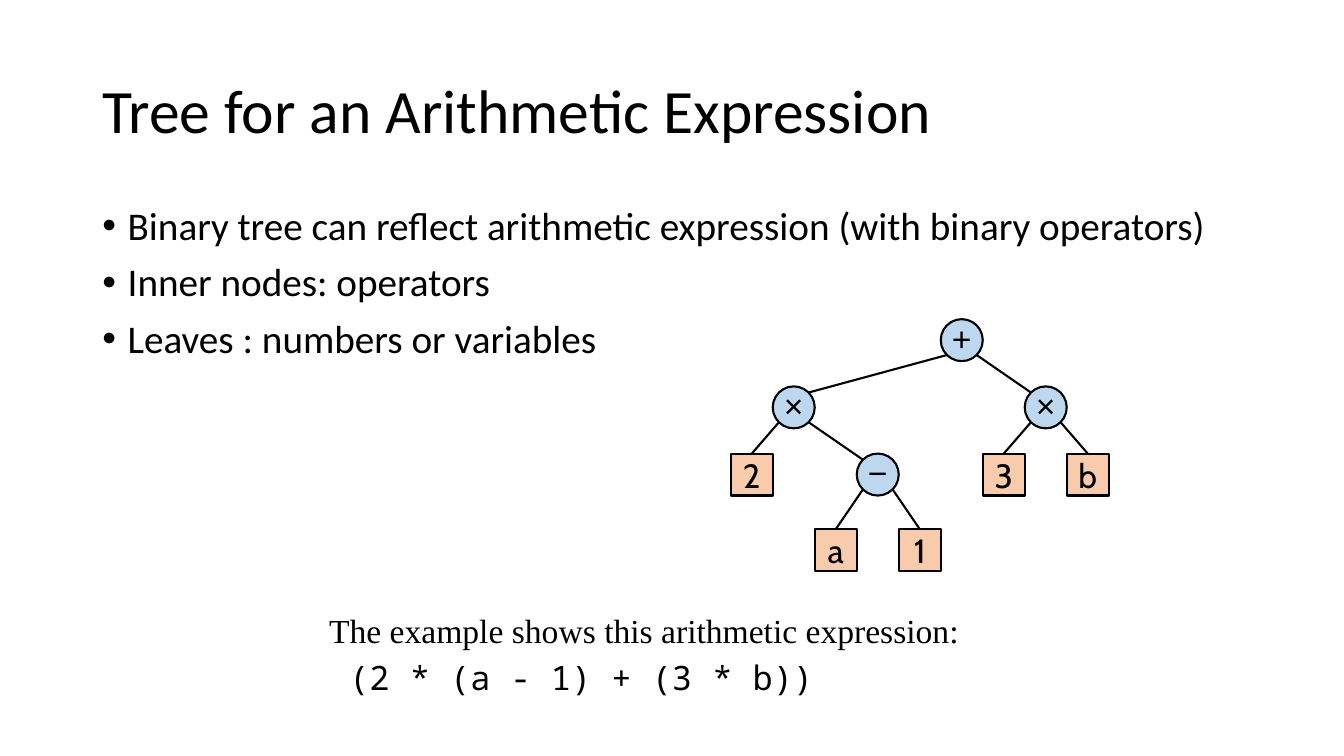
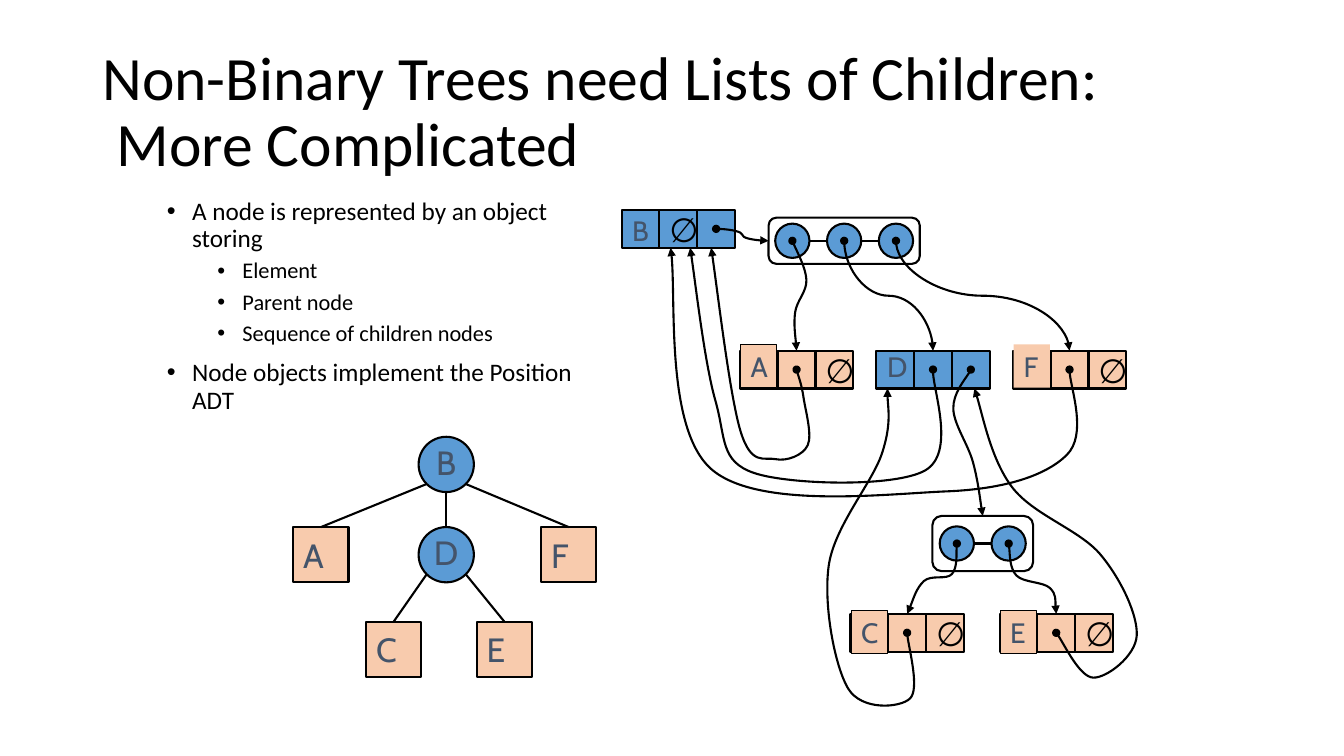
from dataclasses import dataclass
from itertools import count
from typing import Optional

from lxml import etree
from pptx import Presentation
from pptx.dml.color import RGBColor
from pptx.enum.shapes import MSO_CONNECTOR, MSO_SHAPE
from pptx.enum.text import MSO_ANCHOR, MSO_AUTO_SIZE, PP_ALIGN
from pptx.oxml.ns import qn
from pptx.util import Pt

RECT, OVAL, ROUNDED = MSO_SHAPE.RECTANGLE, MSO_SHAPE.OVAL, MSO_SHAPE.ROUNDED_RECTANGLE
STRAIGHT, CURVE = MSO_CONNECTOR.STRAIGHT, MSO_CONNECTOR.CURVE
LEFT, CENTER = PP_ALIGN.LEFT, PP_ALIGN.CENTER
TOP, MIDDLE = MSO_ANCHOR.TOP, MSO_ANCHOR.MIDDLE
NO_AUTOFIT = MSO_AUTO_SIZE.NONE

BLACK, SLATE = "000000", "44546A"
PALE_BLUE, BLUE, PEACH = "BDD7EE", "5B9BD5", "F8CBAD"
BODY_FONT, NODE_FONT = "Calibri", "Cabin"
DEFAULT_INSETS = (7.2, 3.6, 7.2, 3.6)
OVAL_INSETS = (0, 0, 0, 3.6)
DIAGONAL = 0.5 ** 0.5
CELL = 27
LINK_CELL, CHILDREN_CELL = 1, 2
DISC, DISC_STEP = 24.5, 37

ARITHMETIC_TREE = ("+", ("×", "2", ("−", "a", "1")), ("×", "3", "b"))
LETTER_TREE = ("B", "A", ("D", "C", "E"), "F")


@dataclass
class TreeStyle:
    size: float
    row_tops: tuple
    inner_fill: str
    color: str
    inner_font: str
    leaf_align: object


@dataclass
class Record:
    name: str
    left: float
    top: float
    fill: str = PEACH
    empty_cell: Optional[int] = CHILDREN_CELL
    label_shift: float = -2.5
    label_fill: Optional[str] = PEACH
    label_line: Optional[str] = BLACK

    def cell_center(self, column):
        return self.left + (column + 0.5) * CELL, self.top + CELL / 2

    def entry(self):
        return self.cell_center(LINK_CELL)[0], self.top

    def underside(self, offset):
        return self.left + offset, self.top + CELL


@dataclass
class ChildList:
    left: float
    top: float
    width: float
    height: float
    size: int

    def disc_center(self, index):
        margin = (self.width - (self.size - 1) * DISC_STEP) / 2
        return self.left + margin + index * DISC_STEP, self.top + self.height / 2

    def entry(self):
        return self.left + self.width / 2, self.top


RECORDS = {record.name: record for record in (
    Record("B", 444, 150, BLUE, LINK_CELL, -1, None, None),
    Record("A", 528.5, 250.5, label_shift=-4.5),
    Record("D", 626, 250.5, BLUE, None, -4.5, None, None),
    Record("F", 723.5, 250.5, label_shift=-4.5, label_line=None),
    Record("C", 607.5, 438.5),
    Record("E", 714, 438.5),
)}
CHILD_LISTS = {"B": ChildList(549, 155.5, 108, 33, 3),
               "D": ChildList(666, 368.5, 72, 39.5, 2)}

BENDS_TO_CHILD = {
    "B": {"A": [(576, 200), (568, 223)], "D": [], "F": []},
    "D": {"C": [(680, 410), (660, 415)], "E": [(726, 411), (750, 420)]},
}
BENDS_TO_LIST_OF_D = [(681, 292), (695, 330)]
ROUTES_TO_PARENT = [
    ("A", "B", 64, [(574, 284), (577, 318), (554, 328), (529, 308)]),
    ("D", "B", 49, [(661, 336), (539, 338), (511, 286)]),
    ("F", "B", 35, [(762, 325), (676, 351), (508, 335)]),
    ("C", "D", 8, [(650, 499), (606, 492), (592, 404), (630, 324)]),
    ("E", "D", 70, [(781, 484), (812, 454), (786, 396), (723, 348)]),
]


def rgb(value):
    return RGBColor.from_string(value)


def add_text(frame, text, size=24, font=NODE_FONT, color=BLACK, align=LEFT,
             before=0, spacing=1.0, bullet_indent=None):
    paragraph = frame.paragraphs[0]
    if paragraph.runs:
        paragraph = frame.add_paragraph()
    else:
        before = 0
    paragraph.text = text
    paragraph.alignment = align
    paragraph.line_spacing = spacing
    paragraph.space_before = Pt(before)
    if bullet_indent is not None:
        properties = paragraph._p.get_or_add_pPr()
        properties.set("marL", str(Pt(bullet_indent)))
        properties.set("indent", str(-Pt(18)))
        etree.SubElement(properties, qn("a:buFont")).set("typeface", "Arial")
        etree.SubElement(properties, qn("a:buChar")).set("char", "•")
    for run in paragraph.runs:
        run.font.size = Pt(size)
        run.font.name = font
        run.font.color.rgb = rgb(color)


def set_frame(frame, anchor=MIDDLE, insets=DEFAULT_INSETS, wrap=False):
    frame.auto_size = NO_AUTOFIT
    frame.word_wrap = wrap
    frame.vertical_anchor = anchor
    (frame.margin_left, frame.margin_top,
     frame.margin_right, frame.margin_bottom) = map(Pt, insets)


def place(placeholder, left, top, width, height, anchor):
    placeholder.left, placeholder.top = Pt(left), Pt(top)
    placeholder.width, placeholder.height = Pt(width), Pt(height)
    set_frame(placeholder.text_frame, anchor=anchor, wrap=True)


def add_titled_slide(deck, title, body_box, bullets):
    slide = deck.slides.add_slide(deck.slide_layouts[1])
    heading, body = slide.placeholders
    place(heading, 66, 29, 828, 104, MIDDLE)
    add_text(heading.text_frame, title, size=44, font=BODY_FONT, spacing=0.9)
    place(body, *body_box, TOP)
    for level, size, text in bullets:
        add_text(body.text_frame, text, size=size, font=BODY_FONT, spacing=0.9,
                 before=5 if level else 10, bullet_indent=18 + 36 * level)
        body.text_frame.paragraphs[-1].level = level
    return slide


def style_outline(outline, fill, line, weight=1.5):
    outline.shadow.inherit = False
    if fill:
        outline.fill.solid()
        outline.fill.fore_color.rgb = rgb(fill)
    else:
        outline.fill.background()
    if line:
        outline.line.color.rgb = rgb(line)
        outline.line.width = Pt(weight)
    else:
        outline.line.fill.background()


def add_box(slide, kind, left, top, width, height, fill=None, line=BLACK, weight=1.5):
    box = slide.shapes.add_shape(kind, Pt(left), Pt(top), Pt(width), Pt(height))
    style_outline(box, fill, line, weight)
    return box


def add_line(slide, start, end, kind=STRAIGHT):
    line = slide.shapes.add_connector(kind, *map(Pt, start + end))
    line.line.color.rgb = rgb(BLACK)
    line.line.width = Pt(1.5)
    etree.SubElement(line._element.spPr, qn("a:effectLst"))
    return line


def add_pointer_ends(pointer):
    outline = pointer._element.spPr.find(qn("a:ln"))
    etree.SubElement(outline, qn("a:headEnd")).set("type", "oval")
    etree.SubElement(outline, qn("a:tailEnd")).set("type", "triangle")


def add_falling_pointer(slide, start, end):
    center_x, center_y = (start[0] + end[0]) / 2, (start[1] + end[1]) / 2
    half_run, half_drop = (end[0] - start[0]) / 2, (end[1] - start[1]) / 2
    pointer = add_line(slide, (center_x + half_drop, center_y - half_run),
                       (center_x - half_drop, center_y + half_run), CURVE)
    pointer._element.spPr.find(qn("a:xfrm")).set("rot", "16200000")
    add_pointer_ends(pointer)


def smooth_controls(knots):
    padded = [knots[0], *knots, knots[-1]]
    for before, start, end, after in zip(padded, padded[1:], padded[2:], padded[3:]):
        yield tuple(s + (e - b) / 6 for b, s, e in zip(before, start, end))
        yield tuple(e - (a - s) / 6 for s, e, a in zip(start, end, after))
        yield end


def add_smooth_pointer(slide, start, bends, end):
    controls = smooth_controls([start, *bends, end])
    builder = slide.shapes.build_freeform(*map(Pt, start))
    builder.add_line_segments([(Pt(x), Pt(y)) for x, y in controls], close=False)
    pointer = builder.convert_to_shape()
    style_outline(pointer, None, BLACK)
    curve = next(pointer._element.iter(qn("a:path")))
    segments = curve.findall(qn("a:lnTo"))
    for first in range(0, len(segments), 3):
        bezier = etree.SubElement(curve, qn("a:cubicBezTo"))
        for segment in segments[first:first + 3]:
            bezier.append(segment[0])
            curve.remove(segment)
    add_pointer_ends(pointer)


def rim_point(node, side, direction):
    radius = node.width.pt / 2
    x, y = node.left.pt + radius, node.top.pt + radius
    if side == 0:
        return x, y + direction * radius
    return x + side * radius * DIAGONAL, y + direction * radius * DIAGONAL


def add_edge(slide, parent, child):
    offset = child.left - parent.left
    side = (offset > 0) - (offset < 0)
    edge = add_line(slide, rim_point(parent, side, 1), rim_point(child, -side, -1))
    if child.auto_shape_type == RECT:
        edge.end_connect(child, 0)


def add_node(slide, text, left, top, style, inner):
    node = add_box(slide, OVAL if inner else RECT, left, top, style.size, style.size,
                   style.inner_fill if inner else PEACH)
    set_frame(node.text_frame, insets=OVAL_INSETS if inner else DEFAULT_INSETS)
    add_text(node.text_frame, text, color=style.color,
             font=style.inner_font if inner else NODE_FONT,
             align=CENTER if inner else style.leaf_align)
    return node


def add_tree(slide, tree, lefts_in_order, style, depth=0):
    top = style.row_tops[depth]
    if isinstance(tree, str):
        return add_node(slide, tree, next(lefts_in_order), top, style, False)
    text, first, *others = tree
    children = [add_tree(slide, first, lefts_in_order, style, depth + 1)]
    parent = add_node(slide, text, next(lefts_in_order), top, style, True)
    children += [add_tree(slide, other, lefts_in_order, style, depth + 1) for other in others]
    for child in children:
        add_edge(slide, parent, child)
    return parent


def add_record(slide, record):
    for column in range(3):
        cell = add_box(slide, RECT, record.left + column * CELL, record.top,
                       CELL, CELL, record.fill)
        if column == record.empty_cell:
            set_frame(cell.text_frame)
            add_text(cell.text_frame, "∅")
    label = add_box(slide, RECT, record.left + 0.5, record.top + record.label_shift,
                    26, 31, record.label_fill, record.label_line, 0.75)
    set_frame(label.text_frame, anchor=TOP)
    add_text(label.text_frame, record.name, size=20, color=SLATE)


def add_child_list(slide, children):
    holder = add_box(slide, ROUNDED, children.left, children.top,
                     children.width, children.height)
    holder.adjustments[0] = 0.17
    centers = [children.disc_center(index) for index in range(children.size)]
    add_line(slide, centers[0], centers[-1])
    for x, y in centers:
        add_box(slide, OVAL, x - DISC / 2, y - DISC / 2, DISC, DISC, BLUE)
    return holder


def add_pointers(slide, list_of_b):
    to_list_of_b = add_line(slide, RECORDS["B"].cell_center(CHILDREN_CELL), (549, 172), CURVE)
    to_list_of_b.end_connect(list_of_b, 1)
    add_pointer_ends(to_list_of_b)
    add_smooth_pointer(slide, RECORDS["D"].cell_center(CHILDREN_CELL),
                       BENDS_TO_LIST_OF_D, CHILD_LISTS["D"].entry())
    for owner, routes in BENDS_TO_CHILD.items():
        for index, (child, bends) in enumerate(routes.items()):
            start, end = CHILD_LISTS[owner].disc_center(index), RECORDS[child].entry()
            if bends:
                add_smooth_pointer(slide, start, bends, end)
            else:
                add_falling_pointer(slide, start, end)
    for child, parent, offset, bends in ROUTES_TO_PARENT:
        add_smooth_pointer(slide, RECORDS[child].cell_center(LINK_CELL), bends,
                           RECORDS[parent].underside(offset))


def build_arithmetic_slide(deck):
    slide = add_titled_slide(
        deck, "Tree for an Arithmetic Expression", (66, 144, 828, 343),
        [(0, 28, "Binary tree can reflect arithmetic expression (with binary operators)"),
         (0, 28, "Inner nodes: operators"), (0, 28, "Leaves : numbers or variables")])
    style = TreeStyle(30, (228, 276, 324, 378), PALE_BLUE, BLACK, "Arial", CENTER)
    add_tree(slide, ARITHMETIC_TREE, count(522, 30), style)
    caption = slide.shapes.add_textbox(Pt(228), Pt(432), Pt(552), Pt(71)).text_frame
    set_frame(caption, anchor=TOP, wrap=True)
    add_text(caption, "The example shows this arithmetic expression:", font="Times New Roman")
    add_text(caption, " (2 * (a - 1) + (3 * b))", font="Noto Sans Mono", before=4.8)


def build_children_slide(deck):
    slide = add_titled_slide(
        deck, "Non-Binary Trees need Lists of Children:\v More Complicated", (112, 138, 313, 324),
        [(0, 18, "A node is represented by an object storing"),
         (1, 16, "Element"), (1, 16, "Parent node"), (1, 16, "Sequence of children nodes"),
         (0, 18, "Node objects implement the Position ADT")])
    style = TreeStyle(39.5, (312, 376.5, 444), BLUE, SLATE, NODE_FONT, LEFT)
    add_tree(slide, LETTER_TREE, iter((209.5, 299, 261.5, 299, 340.5, 386.5)), style)
    holders = {owner: add_child_list(slide, children) for owner, children in CHILD_LISTS.items()}
    for record in RECORDS.values():
        add_record(slide, record)
    add_pointers(slide, holders["B"])


def main():
    deck = Presentation()
    deck.slide_width, deck.slide_height = Pt(960), Pt(540)
    build_arithmetic_slide(deck)
    build_children_slide(deck)
    deck.save("out.pptx")


if __name__ == "__main__":
    main()
